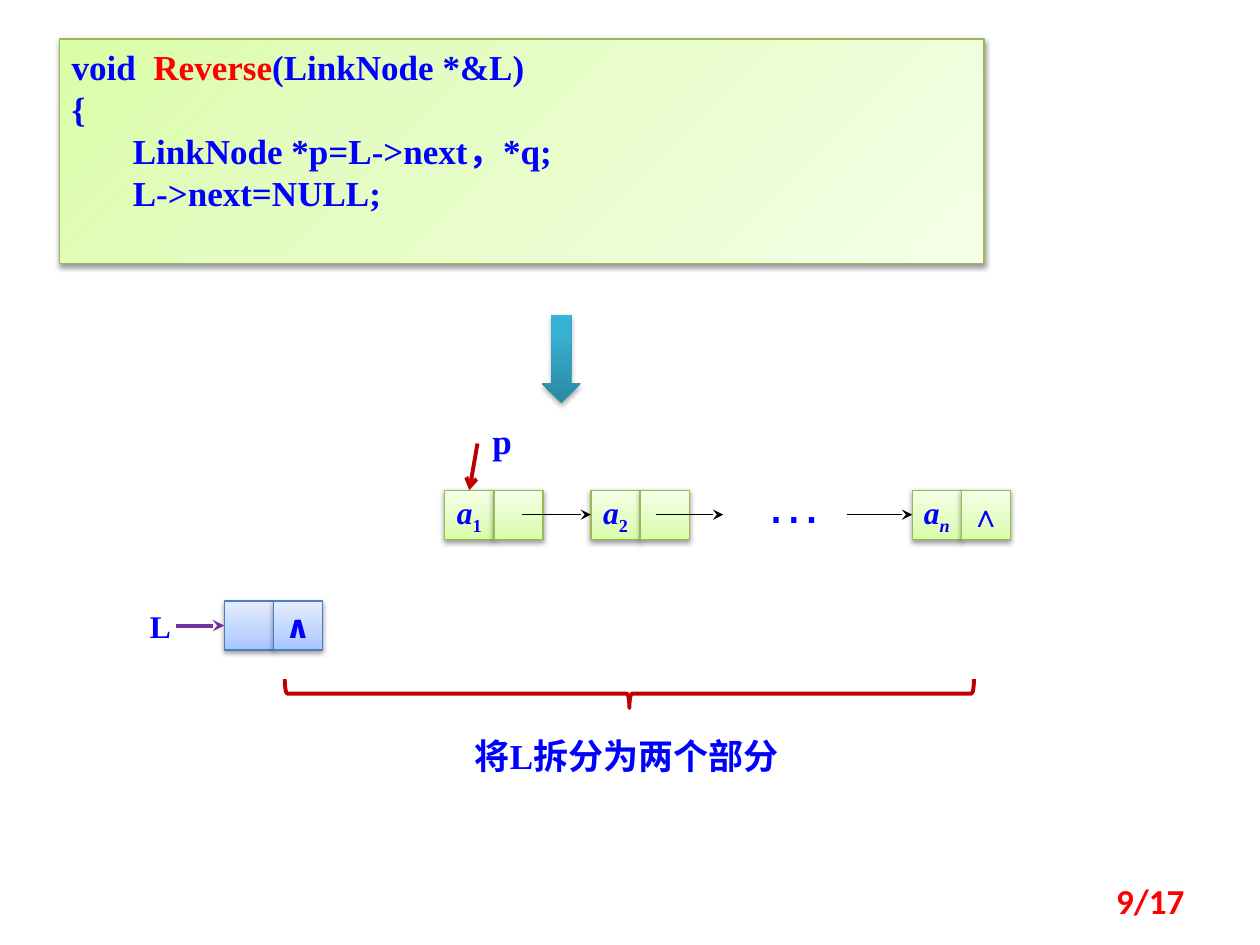
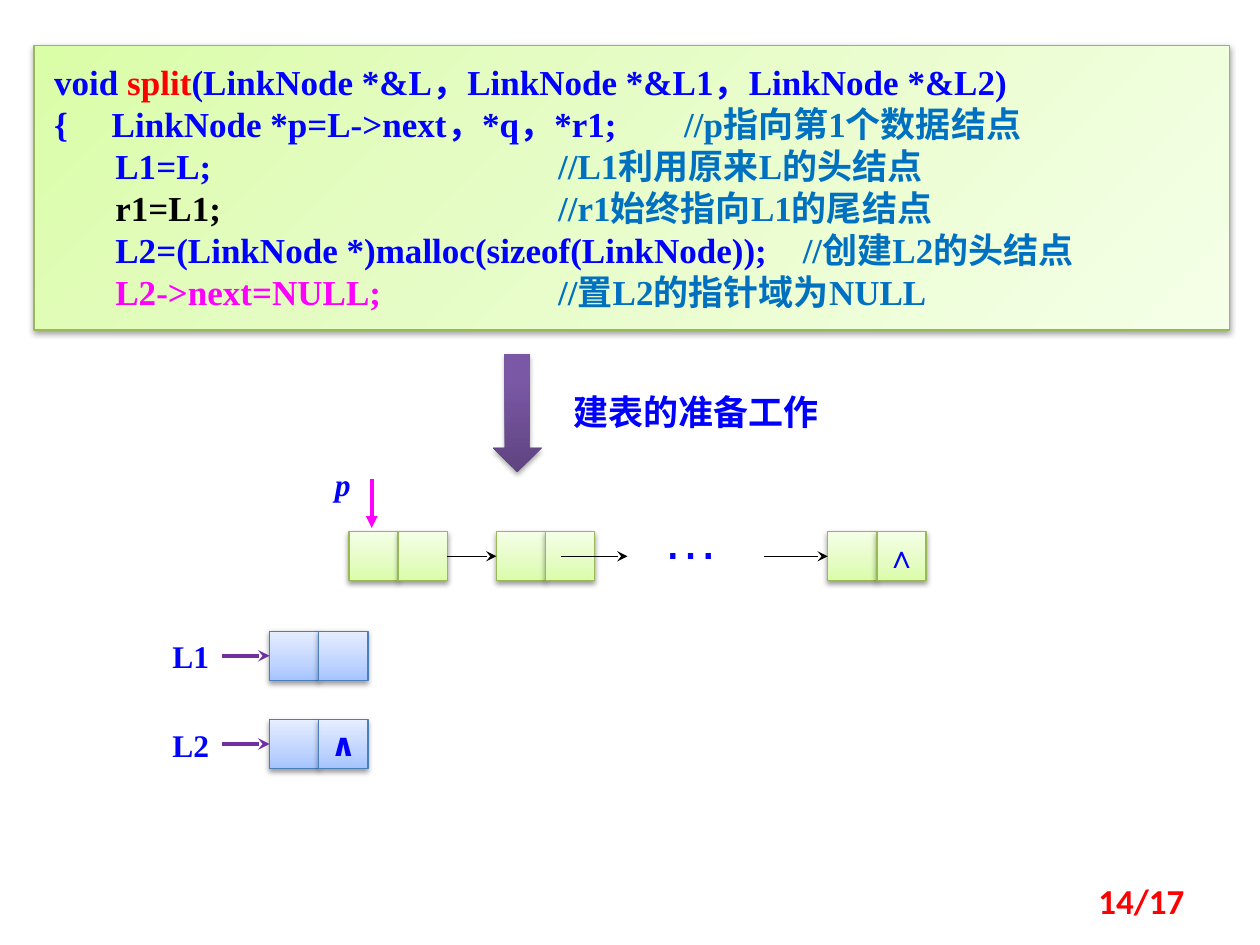
"""Build two slides on splitting linked lists: code, node chains and pointers."""
from dataclasses import dataclass
from typing import Optional

from lxml.etree import SubElement
from pptx import Presentation
from pptx.dml.color import RGBColor
from pptx.enum.shapes import MSO_CONNECTOR, MSO_SHAPE
from pptx.enum.text import MSO_ANCHOR, PP_ALIGN
from pptx.oxml.ns import qn
from pptx.shapes.autoshape import Shape
from pptx.shapes.connector import Connector
from pptx.slide import Slide
from pptx.text.text import TextFrame
from pptx.util import Inches, Pt

COLOURS = {
    "blue": "0000FF", "red": "FF0000", "comment": "0070C0", "black": "000000",
    "magenta": "FF00FF", "purple": "7030A0", "dark red": "C00000",
    "green line": "98B955", "green deep": "DAFDA7", "green mid": "E4FCC2",
    "green pale": "F5FFE7", "node line": "4B7EBC", "node deep": "A4C4FF",
    "node mid": "BFD4FF", "node pale": "E6EEFF", "teal deep": "2A88A2",
    "teal mid": "37B1D2", "teal pale": "34B4D6", "violet deep": "5F4480",
    "violet mid": "7B58A6", "violet pale": "7C57A8",
}
CELL = 0.39
CODE_FONT = "Times New Roman"
CHINESE_FONT = "Noto Sans CJK SC"
SYMBOL_FONT = "DejaVu Sans"
TOP, LEFT, RIGHT = 0, 1, 3


@dataclass(frozen=True)
class Theme:
    """Gradient stops, outline and shadow strength of a filled shape."""
    name: str
    middle: int
    line: Optional[str]
    opacity: int


GREEN = Theme("green", 35, "green line", 38)
BLUE = Theme("node", 35, "node line", 38)
TEAL = Theme("teal", 80, None, 35)
VIOLET = Theme("violet", 80, None, 35)


@dataclass(frozen=True)
class Box:
    """Position and size in inches."""
    left: float
    top: float
    width: float
    height: float

    def lengths(self) -> list:
        """Return the four values as lengths."""
        return [Inches(value) for value in (self.left, self.top, self.width, self.height)]


@dataclass(frozen=True)
class Span:
    """A stretch of text with its own look."""
    text: str
    colour: Optional[str] = None
    italic: bool = False
    subscript: bool = False


@dataclass(frozen=True)
class TextStyle:
    """Look shared by all the paragraphs of a text."""
    size: int = 18
    font: str = CODE_FONT
    bold: bool = True
    colour: str = "blue"
    align: PP_ALIGN = PP_ALIGN.LEFT
    east_asian: str = CHINESE_FONT


@dataclass(frozen=True)
class Pointer:
    """Look of an arrow."""
    colour: str
    width: float
    head: str


LIST_POINTER = Pointer("purple", 2.25, "stealth")
NEXT_POINTER = Pointer("black", 0.75, "stealth")
CODE_STYLE = TextStyle(20)
SYMBOL_STYLE = TextStyle(align=PP_ALIGN.CENTER, east_asian=CODE_FONT)
END_STYLE = TextStyle(font=SYMBOL_FONT, align=PP_ALIGN.CENTER, east_asian=SYMBOL_FONT)
DOTS_STYLE = TextStyle(32, "Arial", False, east_asian="Arial")
PAGE_STYLE = TextStyle(20, "Calibri", True, "red", PP_ALIGN.RIGHT)
NULL = (Span("∧"),)


def rgb(name: str) -> RGBColor:
    """Look up a colour."""
    return RGBColor.from_string(COLOURS[name])


def write(frame: TextFrame, lines: list, style: TextStyle) -> None:
    """Write lines of spans into a text frame."""
    for index, spans in enumerate(lines):
        paragraph = frame.add_paragraph() if index else frame.paragraphs[0]
        paragraph.alignment = style.align
        paragraph._p.pPr.set("defTabSz", str(Inches(1)))
        font = paragraph.font
        font.size, font.name, font.bold = Pt(style.size), style.font, style.bold
        font.color.rgb = rgb(style.colour)
        defaults = paragraph._p.pPr.find(qn("a:defRPr"))
        SubElement(defaults, qn("a:ea"), typeface=style.east_asian)
        for span in spans:
            run = paragraph.add_run()
            run.text = span.text
            if span.colour:
                run.font.color.rgb = rgb(span.colour)
            if span.italic:
                run.font.italic = True
            if span.subscript:
                run._r.get_or_add_rPr().set("baseline", "-25000")


def add_text(slide: Slide, box: Box, text: str, style: TextStyle = TextStyle(),
             italic: bool = False) -> TextFrame:
    """Add a one-line text box."""
    frame = slide.shapes.add_textbox(*box.lengths()).text_frame
    frame.word_wrap = True
    write(frame, [[Span(text, italic=italic)]], style)
    return frame


def add_filled(slide: Slide, kind: MSO_SHAPE, box: Box, theme: Theme, angle: int = 270) -> Shape:
    """Add a shape with a three-stop gradient and a soft shadow."""
    shape = slide.shapes.add_shape(kind, *box.lengths())
    shape.fill.gradient()
    shape.fill.gradient_angle = 360 - angle
    properties = shape._element.spPr
    stops = properties.find(".//" + qn("a:gsLst"))
    for stop in list(stops):
        stops.remove(stop)
    for position, tone in ((0, "deep"), (theme.middle, "mid"), (100, "pale")):
        stop = SubElement(stops, qn("a:gs"), pos=str(position * 1000))
        SubElement(stop, qn("a:srgbClr"), val=COLOURS[f"{theme.name} {tone}"])
    if theme.line:
        shape.line.color.rgb = rgb(theme.line)
        shape.line.width = Pt(0.75)
    else:
        shape.line.fill.background()
    shape.shadow.inherit = False
    shadow = SubElement(properties.find(qn("a:effectLst")), qn("a:outerShdw"),
                        blurRad=str(Pt(3.1)), dist=str(Pt(1.6)), dir="5400000", rotWithShape="0")
    shade = SubElement(shadow, qn("a:srgbClr"), val=COLOURS["black"])
    SubElement(shade, qn("a:alpha"), val=str(theme.opacity * 1000))
    return shape


def add_code(slide: Slide, box: Box, lines: list, margin: tuple = (0.1, 0.05)) -> None:
    """Add the code panel."""
    frame = add_filled(slide, MSO_SHAPE.RECTANGLE, box, GREEN, 45).text_frame
    frame.margin_left = frame.margin_right = Inches(margin[0])
    frame.margin_top = frame.margin_bottom = Inches(margin[1])
    frame.vertical_anchor = MSO_ANCHOR.TOP
    frame.word_wrap = True
    write(frame, lines, CODE_STYLE)


def add_node(slide: Slide, left: float, top: float, theme: Theme,
             data: tuple = (), link: tuple = ()) -> list[Shape]:
    """Add a node of two cells, data and link."""
    cells = []
    for column, spans in enumerate((data, link)):
        box = Box(left + column * CELL, top, CELL, CELL)
        cell = add_filled(slide, MSO_SHAPE.RECTANGLE, box, theme)
        if spans:
            frame = cell.text_frame
            frame.word_wrap = False
            frame.vertical_anchor = MSO_ANCHOR.MIDDLE
            write(frame, [spans], END_STYLE if theme is BLUE else SYMBOL_STYLE)
        cells.append(cell)
    return cells


def add_pointer(slide: Slide, start: tuple, end: tuple, pointer: Pointer,
                target: Optional[Shape] = None, side: int = LEFT) -> Connector:
    """Add an arrow, joined to a side of the target if there is one."""
    points = [Inches(value) for value in (*start, *end)]
    connector = slide.shapes.add_connector(MSO_CONNECTOR.STRAIGHT, *points)
    connector.line.color.rgb = rgb(pointer.colour)
    connector.line.width = Pt(pointer.width)
    properties = connector._element.spPr
    SubElement(properties.find(qn("a:ln")), qn("a:tailEnd"), type=pointer.head)
    SubElement(properties, qn("a:effectLst"))
    if target is not None:
        connector.end_connect(target, side)
    return connector


def add_list_head(slide: Slide, name: str, label: Box, left: float, link: tuple = ()) -> None:
    """Add a named head node and the pointer to it."""
    head = add_node(slide, left, label.top, BLUE, link=link)
    middle = label.top + CELL / 2
    add_pointer(slide, (left - 0.38, middle), (left, middle), LIST_POINTER, head[0])
    add_text(slide, label, name)


def add_chain(slide: Slide, lefts: tuple, top: float, starts: tuple, dots: Box,
              names: tuple = ((), (), ())) -> list[list[Shape]]:
    """Add the data nodes, the links between them and the dots."""
    links = ((), (), NULL)
    nodes = [add_node(slide, left, top, GREEN, name, link)
             for left, name, link in zip(lefts, names, links)]
    middle = top + CELL / 2
    targets = (nodes[1][0], None, nodes[2][0])
    for index, (start, target) in enumerate(zip(starts, targets)):
        connector = add_pointer(slide, (start, middle), (start + 0.53, middle),
                                NEXT_POINTER, target)
        if index == 0 and start >= lefts[0] + 2 * CELL:
            connector.begin_connect(nodes[0][1], RIGHT)
    add_text(slide, dots, "…", DOTS_STYLE)
    return nodes


def add_page_number(slide: Slide, number: int) -> None:
    """Add the page number at the bottom right."""
    frame = add_text(slide, Box(7.17, 6.95, 2.33, 0.4), f"{number}/17", PAGE_STYLE)
    frame.vertical_anchor = MSO_ANCHOR.MIDDLE


def build_reverse(slide: Slide) -> None:
    """Build the slide on reversing a list."""
    add_code(slide, Box(0.47, 0.31, 7.34, 1.78), [
        [Span("void  "), Span("Reverse", "red"), Span("(LinkNode *&L)")],
        [Span("{")],
        [Span("       LinkNode *p=L->next，*q;")],
        [Span("       L->next=NULL;")],
    ])
    add_list_head(slide, "L", Box(1.09, 4.77, 0.29, 0.4), 1.78, NULL)
    names = tuple((Span("a", italic=True), Span(index, italic=index == "n", subscript=True))
                  for index in "12n")
    nodes = add_chain(slide, (3.53, 4.69, 7.24), 3.89, (4.14, 5.21, 6.72),
                      Box(5.98, 3.66, 0.79, 0.63), names)
    add_pointer(slide, (3.79, 3.52), (3.72, 3.89), Pointer("dark red", 2.25, "arrow"),
                nodes[0][0], TOP)
    add_text(slide, Box(3.71, 3.28, 0.55, 0.44), "p",
             TextStyle(20, align=PP_ALIGN.CENTER))
    add_filled(slide, MSO_SHAPE.DOWN_ARROW, Box(4.3, 2.5, 0.31, 0.7), TEAL)
    brace = slide.shapes.add_shape(MSO_SHAPE.RIGHT_BRACE, *Box(4.88, 2.77, 0.23, 5.47).lengths())
    brace.rotation = 90
    brace.fill.background()
    brace.line.color.rgb = rgb("dark red")
    brace.line.width = Pt(2.25)
    brace.shadow.inherit = False
    add_text(slide, Box(3.67, 5.78, 2.89, 0.44), "将L拆分为两个部分", CODE_STYLE)
    add_page_number(slide, 9)


def build_split(slide: Slide) -> None:
    """Build the slide on splitting a list."""
    add_code(slide, Box(0.27, 0.36, 9.49, 2.26), [
        [Span("void "), Span("split", "red"),
         Span("(LinkNode *&L，LinkNode *&L1，LinkNode *&L2)")],
        [Span("{     LinkNode *p=L->next，*q，*r1;\t"), Span("//p指向第1个数据结点", "comment")],
        [Span("       L1=L;\t\t\t"), Span("//L1利用原来L的头结点", "comment")],
        [Span("       r1=L1;\t\t\t", "black"), Span("//r1始终指向L1的尾结点", "comment")],
        [Span("       L2=(LinkNode *)malloc(sizeof(LinkNode));    "),
         Span("//创建L2的头结点", "comment")],
        [Span("       L2->next=NULL;\t\t", "magenta"), Span("//置L2的指针域为NULL", "comment")],
    ], (0.16, 0.12))
    for name, top, link in (("L1", 5.01, ()), ("L2", 5.71, NULL)):
        add_list_head(slide, name, Box(1.27, top, 0.55, 0.4), 2.14, link)
    add_chain(slide, (2.77, 3.94, 6.57), 4.22, (3.56, 4.45, 6.06), Box(5.16, 3.95, 0.79, 0.63))
    add_pointer(slide, (2.95, 3.8), (2.95, 4.19), Pointer("magenta", 2.25, "triangle"))
    add_text(slide, Box(2.56, 3.64, 0.39, 0.4), "p", italic=True)
    add_filled(slide, MSO_SHAPE.DOWN_ARROW, Box(3.91, 2.81, 0.39, 0.94), VIOLET)
    add_text(slide, Box(4.45, 3.05, 2.58, 0.44), "建表的准备工作", TextStyle(20, CHINESE_FONT))
    add_page_number(slide, 14)


def main() -> None:
    """Create the presentation."""
    presentation = Presentation()
    presentation.slide_width, presentation.slide_height = Inches(10), Inches(7.5)
    for build in (build_reverse, build_split):
        build(presentation.slides.add_slide(presentation.slide_layouts[6]))
    presentation.save("out.pptx")


if __name__ == "__main__":
    main()
